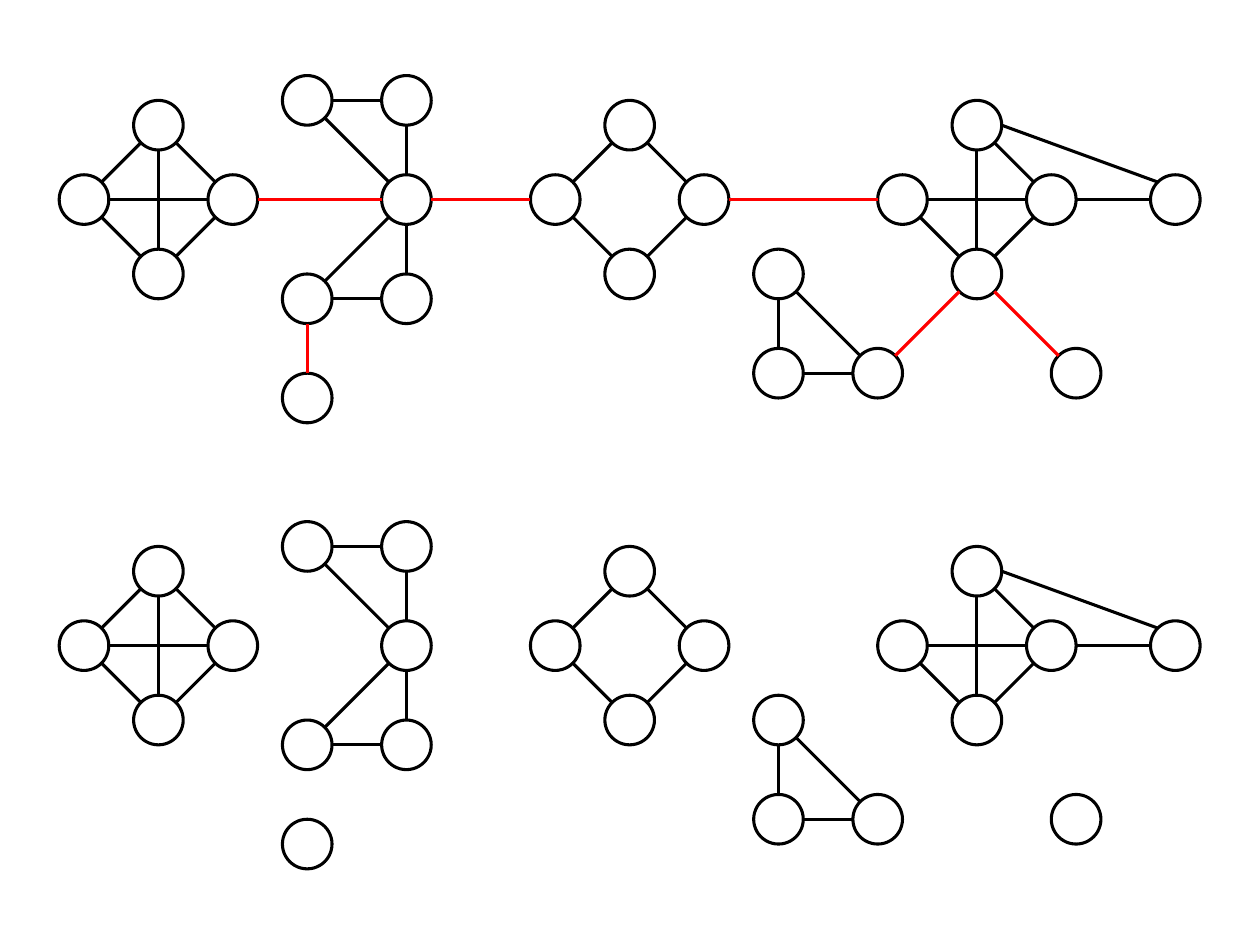
from math import atan2, cos, pi, sin

from lxml.etree import SubElement
from pptx import Presentation
from pptx.dml.color import RGBColor
from pptx.enum.shapes import MSO_CONNECTOR, MSO_SHAPE
from pptx.oxml.ns import qn
from pptx.util import Inches, Pt

COLORS = {"node": "FFFFFF", "edge": "000000", "bridge": "FF0000"}
GRID = Inches(5 / 25.4)  # a 5 mm grid; each node has a radius of one step
LINE_WIDTH = Pt(1.75)
RIGHT, UPPER_LEFT = 0, -3 * pi / 4

# Node centres in grid steps from the upper left corner of the graph
NODES = {
    "clique left": (1, 5), "clique top": (4, 2),
    "clique right": (7, 5), "clique bottom": (4, 8),
    "bow upper left": (10, 1), "bow upper right": (14, 1), "bow middle": (14, 5),
    "bow lower left": (10, 9), "bow lower right": (14, 9), "bow leaf": (10, 13),
    "cycle left": (20, 5), "cycle top": (23, 2),
    "cycle right": (26, 5), "cycle bottom": (23, 8),
    "triangle top": (29, 8), "triangle left": (29, 12), "triangle right": (33, 12),
    "kite left": (34, 5), "kite top": (37, 2), "kite right": (40, 5),
    "kite bottom": (37, 8), "kite tip": (45, 5), "kite leaf": (41, 12),
}
# Part of the graph -> pairs of its nodes that are joined
EDGES = {
    "clique": ["left-top", "top-right", "left-bottom", "bottom-right",
               "left-right", "top-bottom"],
    "bow": ["upper left-upper right", "upper right-middle", "upper left-middle",
            "lower right-middle", "lower left-lower right", "lower left-middle"],
    "cycle": ["left-top", "top-right", "left-bottom", "bottom-right"],
    "triangle": ["left-top", "left-right", "top-right"],
    "kite": ["top-right", "left-bottom", "bottom-right", "top-bottom",
             "left-right", "right-tip"],
}
BRIDGES = [
    ("clique right", "bow middle"), ("bow leaf", "bow lower left"),
    ("bow middle", "cycle left"), ("cycle right", "kite left"),
    ("triangle right", "kite bottom"), ("kite bottom", "kite leaf"),
]


def style_line(line, color):
    line.color.rgb = RGBColor.from_string(COLORS[color])
    line.width = LINE_WIDTH


def add_node(slide, left, top, center):
    x, y = center
    node = slide.shapes.add_shape(
        MSO_SHAPE.OVAL, left + (x - 1) * GRID, top + (y - 1) * GRID, 2 * GRID, 2 * GRID)
    node.shadow.inherit = False
    node.fill.solid()
    node.fill.fore_color.rgb = RGBColor.from_string(COLORS["node"])
    style_line(node.line, "edge")


def rim_point(left, top, center, angle):
    """Return the point of a node's outline that lies at the given angle."""
    x, y = center
    return (round(left + (x + cos(angle)) * GRID),
            round(top + (y + sin(angle)) * GRID))


def add_edge(slide, left, top, start, end, color="edge", angles=None):
    """Join two nodes rim to rim, facing each other unless angles are given."""
    if angles is None:
        facing = atan2(end[1] - start[1], end[0] - start[0])
        angles = facing, facing + pi
    connector = slide.shapes.add_connector(
        MSO_CONNECTOR.STRAIGHT,
        *rim_point(left, top, start, angles[0]),
        *rim_point(left, top, end, angles[1]))
    style_line(connector.line, color)
    SubElement(connector._element.spPr, qn("a:effectLst"))


def add_graph(slide, left, top, with_bridges):
    for center in NODES.values():
        add_node(slide, left, top, center)
    for part, pairs in EDGES.items():
        for pair in pairs:
            start, end = (NODES[f"{part} {name}"] for name in pair.split("-"))
            add_edge(slide, left, top, start, end)
    add_edge(slide, left, top, NODES["kite top"], NODES["kite tip"],
             angles=(RIGHT, UPPER_LEFT))
    if with_bridges:
        for start, end in BRIDGES:
            add_edge(slide, left, top, NODES[start], NODES[end], "bridge")


def main():
    presentation = Presentation()
    presentation.slide_width = Inches(10)
    presentation.slide_height = Inches(7.5)
    slide = presentation.slides.add_slide(presentation.slide_layouts[6])
    add_graph(slide, Inches(0.47), Inches(0.6), with_bridges=True)
    add_graph(slide, Inches(0.47), Inches(4.14), with_bridges=False)
    presentation.save("out.pptx")


if __name__ == "__main__":
    main()
